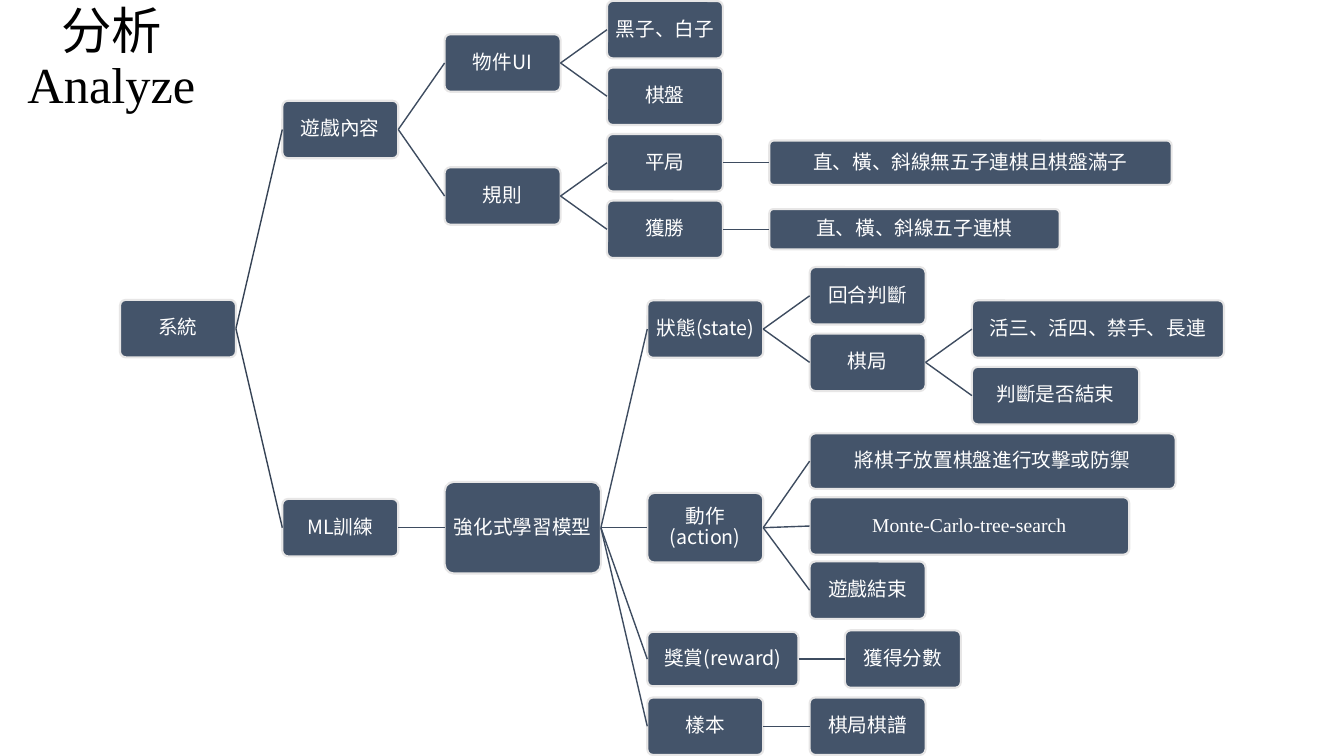
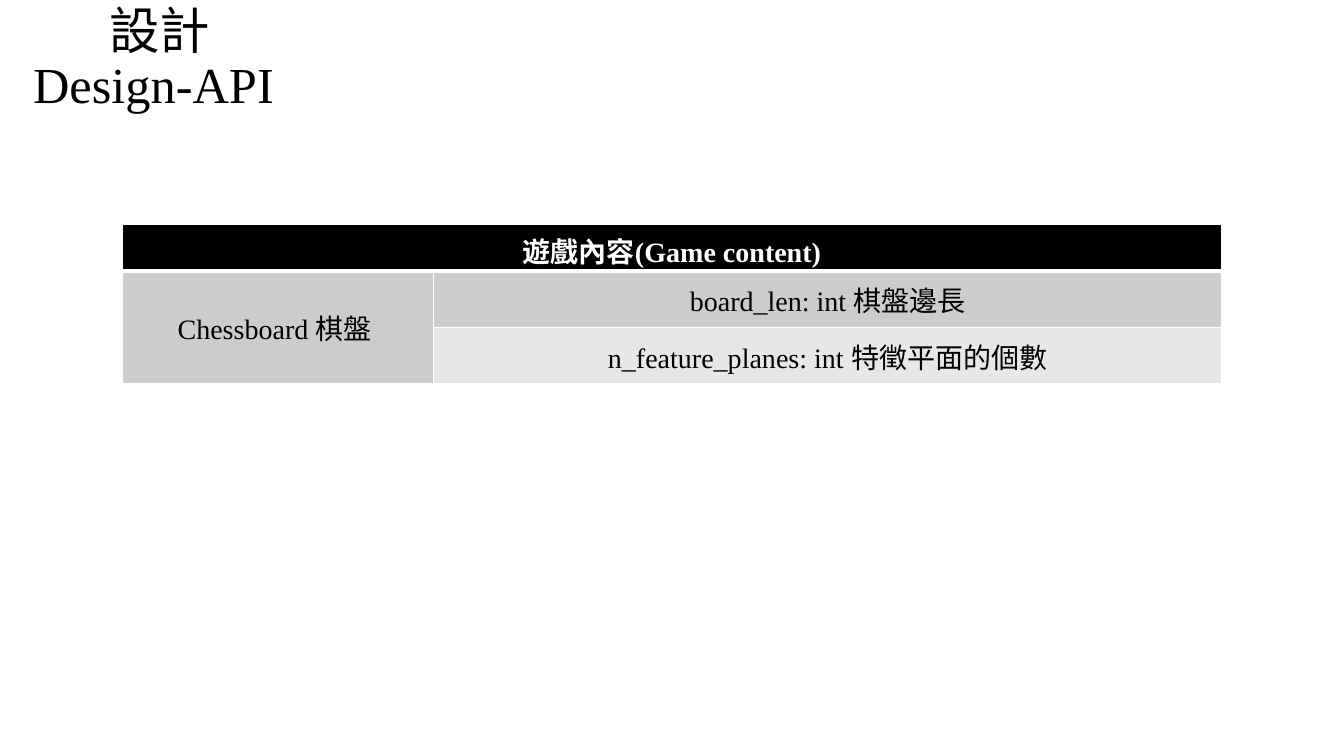
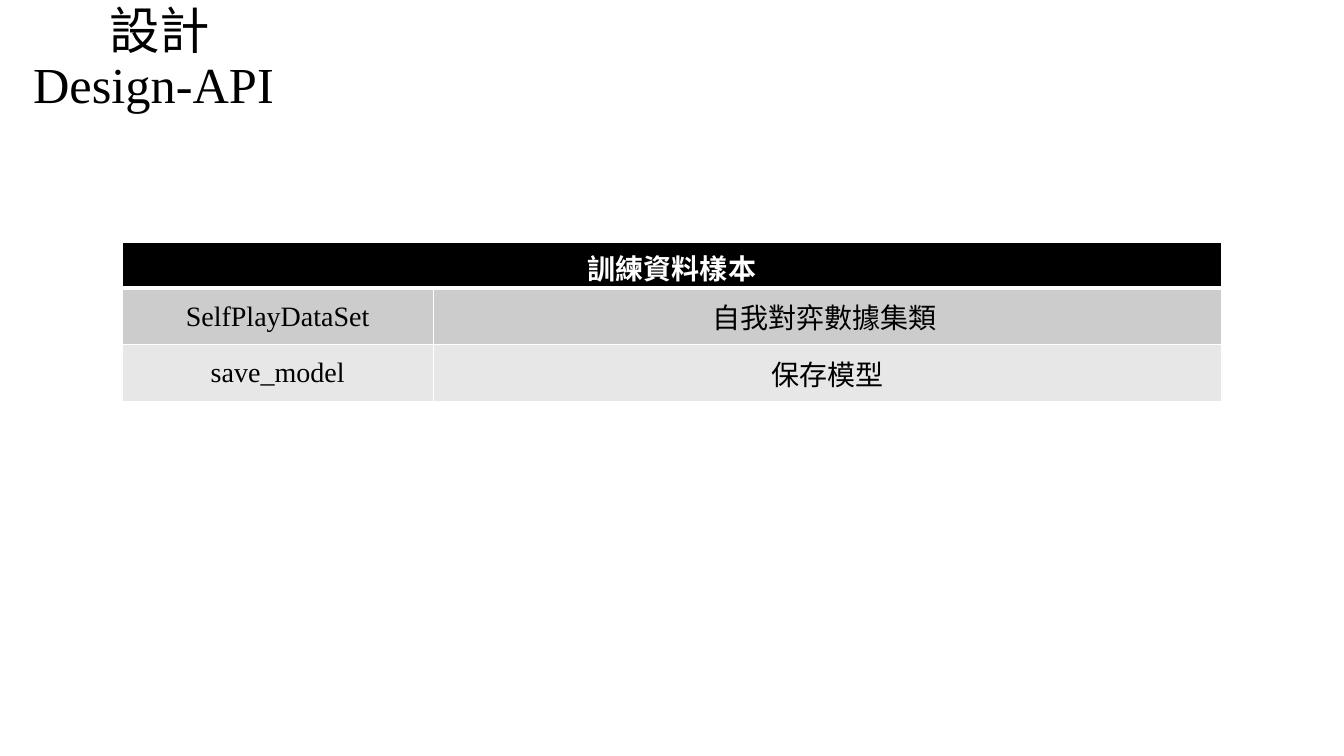
from dataclasses import dataclass

from lxml.etree import SubElement
from pptx import Presentation
from pptx.dml.color import RGBColor
from pptx.enum.shapes import MSO_CONNECTOR, MSO_SHAPE
from pptx.enum.text import MSO_ANCHOR, PP_ALIGN
from pptx.oxml.ns import qn
from pptx.util import Inches, Pt

WIDE, TALL = 13.33, 7.5
ROW, FIRST = 0.33, 0.295  # tree row pitch and centre of row 0
LEFT, GAP = 1.19, 0.46  # tree left edge and space between levels
HAN, ROMAN = "Noto Sans CJK SC", "Times New Roman"
HUES = {
    "ink": "000000", "white": "FFFFFF", "box": "44546A", "rim": "E7E6E6",
    "trunk": "364355", "twig": "3E4C60", "dark": "CCCCCC", "light": "E7E7E7",
}
TITLE = {"size": Pt(36), "name": ROMAN}
LABEL = {"size": Pt(14), "name": HAN}
HEAD = {"size": Pt(20), "name": ROMAN, "bold": True}
BODY = {"size": Pt(20), "name": ROMAN, "bold": False}


@dataclass
class Node:
    """A box of the tree; without a row it sits midway between its children."""
    text: str
    kids: tuple = ()
    row: float = None
    wide: float = 1.15
    tall: float = 0.57
    font: str = HAN

    def place(self):
        """Return the row of this box."""
        if self.row is not None:
            return self.row
        return (self.kids[0].place() + self.kids[-1].place()) / 2


TREE = Node("系統", (
    Node("遊戲內容", (
        Node("物件UI", (Node("黑子、白子", row=0), Node("棋盤", row=2))),
        Node("規則", (
            Node("平局", (Node("直、橫、斜線無五子連棋且棋盤滿子", row=4, wide=3.99, tall=0.44),)),
            Node("獲勝", (Node("直、橫、斜線五子連棋", row=6, wide=2.88, tall=0.4),)),
        )),
    )),
    Node("ML訓練", (
        Node("強化式學習模型", (
            Node("狀態(state)", (
                Node("回合判斷", row=8),
                Node("棋局", (
                    Node("活三、活四、禁手、長連", row=9, wide=2.5),
                    Node("判斷是否結束", row=11, wide=1.66),
                )),
            )),
            Node("動作(action)", (
                Node("將棋子放置棋盤進行攻擊或防禦", row=12.97, wide=3.63, tall=0.55),
                Node("Monte-Carlo-tree-search", row=14.92, wide=3.17, font=ROMAN),
                Node("遊戲結束", row=16.85),
            ), row=14.97, tall=0.69),
            Node("獎賞(reward)", (Node("獲得分數", row=18.92),), wide=1.5, tall=0.54),
            Node("樣本", (Node("棋局棋譜", row=20.94),)),
        ), wide=1.55, tall=0.91),
    )),
))


def hue(name):
    """Look up a colour."""
    return RGBColor.from_string(HUES[name])


def write(frame, text, style, tone, lead=None):
    """Fill a text frame with one centred paragraph."""
    frame.text = text
    para = frame.paragraphs[0]
    para.alignment = PP_ALIGN.CENTER
    if lead:
        para.line_spacing = lead
    for run in para.runs:
        for key, value in style.items():
            setattr(run.font, key, value)
        run.font.color.rgb = hue(tone)
        SubElement(run.font._element, qn("a:ea"), typeface=HAN)


def page(deck, title, wide):
    """Add a blank slide with its title in the top left corner."""
    slide = deck.slides.add_slide(deck.slide_layouts[6])
    box = slide.shapes.add_textbox(0, 0, Inches(wide), Inches(1.19))
    frame = box.text_frame
    frame.word_wrap = True
    frame.vertical_anchor = MSO_ANCHOR.MIDDLE
    write(frame, title, TITLE, "ink", 0.9)
    return slide


def block(slide, node, left):
    """Draw one box of the tree."""
    top = FIRST + ROW * node.place() - node.tall / 2
    spot = [Inches(n) for n in (left, top, node.wide, node.tall)]
    box = slide.shapes.add_shape(MSO_SHAPE.ROUNDED_RECTANGLE, *spot)
    box.adjustments[0] = 0.1
    box.shadow.inherit = False
    box.fill.solid()
    box.fill.fore_color.rgb = hue("box")
    box.line.color.rgb = hue("rim")
    box.line.width = Pt(1.5)
    frame = box.text_frame
    frame.word_wrap = True
    frame.vertical_anchor = MSO_ANCHOR.MIDDLE
    for side in ("left", "right", "top", "bottom"):
        setattr(frame, "margin_" + side, Inches(0.03))
    write(frame, node.text, {**LABEL, "name": node.font}, "white", 0.9)
    return box


def link(slide, start, end, tone):
    """Join the right side of one box to the left side of the next."""
    line = slide.shapes.add_connector(MSO_CONNECTOR.STRAIGHT, 0, 0, 0, 0)
    line.begin_connect(start, 3)
    line.end_connect(end, 1)
    line.line.color.rgb = hue(tone)
    line.line.width = Pt(1)
    SubElement(line._element.spPr, qn("a:effectLst"))


def grow(slide, node, left=LEFT, tone="trunk"):
    """Draw a box and, to its right, all that branches from it."""
    box = block(slide, node, left)
    for kid in node.kids:
        link(slide, box, grow(slide, kid, left + node.wide + GAP, "twig"), tone)
    return box


def edge(cell, widths):
    """Give a cell white borders, widths in points by side."""
    for side, width in widths.items():
        line = SubElement(cell._tc.get_or_add_tcPr(), qn("a:ln" + side), w=str(Pt(width)))
        fill = SubElement(line, qn("a:solidFill"))
        SubElement(fill, qn("a:srgbClr"), val=HUES["white"])


def grid(slide, top, head, rows):
    """Add a table with a head across it; None joins a cell to the one above."""
    cols, highs = (3.09, 7.82), [0.46] + [0.56] * len(rows)
    spot = [Inches(n) for n in (1.21, top, sum(cols), sum(highs))]
    table = slide.shapes.add_table(len(highs), len(cols), *spot).table
    for col, wide in zip(table.columns, cols):
        col.width = Inches(wide)
    for row, high in zip(table.rows, highs):
        row.height = Inches(high)
    for r, texts in enumerate([(head, "")] + rows):
        fill = ("light", "dark")[r % 2] if r else "ink"
        for c, text in enumerate(texts):
            cell = table.cell(r, c)
            edge(cell, {"L": 1, "R": 1, "T": 3 if r == 1 else 1, "B": 1 if r else 3})
            cell.fill.solid()
            cell.fill.fore_color.rgb = hue(fill)
            cell.vertical_anchor = MSO_ANCHOR.MIDDLE
            if text is None:
                table.cell(r - 1, c).merge(cell)
            elif text:
                write(cell.text_frame, text, BODY if r else HEAD, "ink" if r else "white")
    table.cell(0, 0).merge(table.cell(0, len(cols) - 1))


def main():
    """Build the deck."""
    deck = Presentation()
    deck.slide_width, deck.slide_height = Inches(WIDE), Inches(TALL)
    grow(page(deck, "分析\vAnalyze", 2.21), TREE)
    tables = [
        (2.23, "遊戲內容(Game content)", [
            ("Chessboard 棋盤 ", "board_len: int 棋盤邊長"),
            (None, "n_feature_planes: int 特徵平面的個數"),
        ]),
        (2.4, "訓練資料樣本", [
            ("SelfPlayDataSet", "自我對弈數據集類 "),
            ("save_model", "保存模型"),
        ]),
    ]
    for table in tables:
        grid(page(deck, "設計\vDesign-API ", 3.17), *table)
    deck.save("out.pptx")


main()
